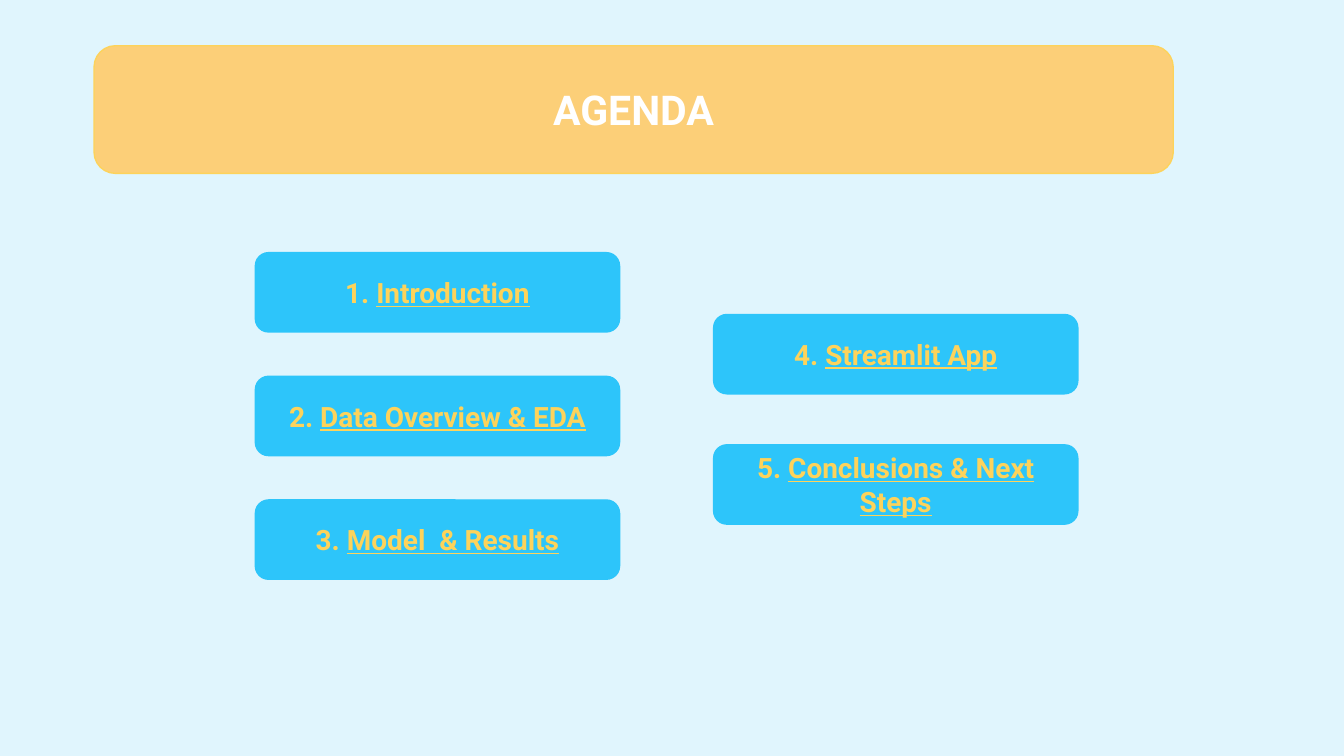
"""Build the agenda slide with a title banner and five numbered topics."""
from dataclasses import dataclass

from pptx import Presentation
from pptx import util as u
from pptx.dml.color import RGBColor
from pptx.enum import shapes, text


@dataclass(frozen=True)
class Theme:
    """Colours, font and type sizes of the slide."""
    background: str = "E0F5FD"
    banner: str = "FCCF78"
    topic: str = "2DC5FA"
    accent: str = "FDD35B"
    white: str = "FFFFFF"
    font: str = "Roboto"
    title_size: int = 22
    topic_size: int = 15


class AgendaSlide:
    """Draws agenda elements on one slide in one theme."""

    def __init__(self, s, theme):
        self.s, self.theme = s, theme
        fill = s.background.fill
        fill.solid()
        fill.fore_color.rgb = RGBColor.from_string(theme.background)

    def box(self, left, top, width, height, fill, line):
        """Add a rounded box and return its centred paragraph."""
        sp = self.s.shapes.add_shape(
            shapes.MSO_SHAPE.ROUNDED_RECTANGLE,
            *(u.Inches(v) for v in (left, top, width, height)))
        sp.shadow.inherit = False
        sp.fill.solid()
        sp.fill.fore_color.rgb = RGBColor.from_string(fill)
        sp.line.color.rgb = RGBColor.from_string(line)
        sp.line.width = u.Pt(0.75)
        tf = sp.text_frame
        tf.word_wrap = True
        tf.vertical_anchor = text.MSO_ANCHOR.MIDDLE
        tf.margin_left = tf.margin_right = u.Inches(0.1)
        tf.margin_top = tf.margin_bottom = u.Inches(0.1)
        p = tf.paragraphs[0]
        p.alignment = text.PP_ALIGN.CENTER
        return p

    def run(self, p, words, size, color, underline=None):
        """Add a bold run to a paragraph."""
        r = p.add_run()
        r.text = words
        r.font.name = self.theme.font
        r.font.size = u.Pt(size)
        r.font.bold = True
        r.font.underline = underline
        r.font.color.rgb = RGBColor.from_string(color)

    def title(self, words):
        """Add the title banner."""
        t = self.theme
        p = self.box(0.7, 0.34, 8.03, 0.95, t.banner, t.accent)
        self.run(p, words, t.title_size, t.white)

    def topic(self, number, words, left, top):
        """Add a numbered topic with an underlined name."""
        t = self.theme
        p = self.box(left, top, 2.71, 0.59, t.topic, t.topic)
        self.run(p, f"{number}. ", t.topic_size, t.accent)
        self.run(p, words, t.topic_size, t.accent, underline=True)


COLUMNS = [
    (1.9, 1.88, 0.92, ["Introduction", "Data Overview & EDA", "Model  & Results"]),
    (5.31, 2.34, 0.97, ["Streamlit App", "Conclusions & Next Steps"]),
]

prs = Presentation()
prs.slide_width = u.Inches(10)
prs.slide_height = prs.slide_width * 9 // 16
agenda = AgendaSlide(prs.slides.add_slide(prs.slide_layouts[6]), Theme())
agenda.title("AGENDA")
number = 1
for left, top, pitch, topics in COLUMNS:
    for row, words in enumerate(topics):
        agenda.topic(number, words, left, top + row * pitch)
        number += 1
prs.save("out.pptx")
